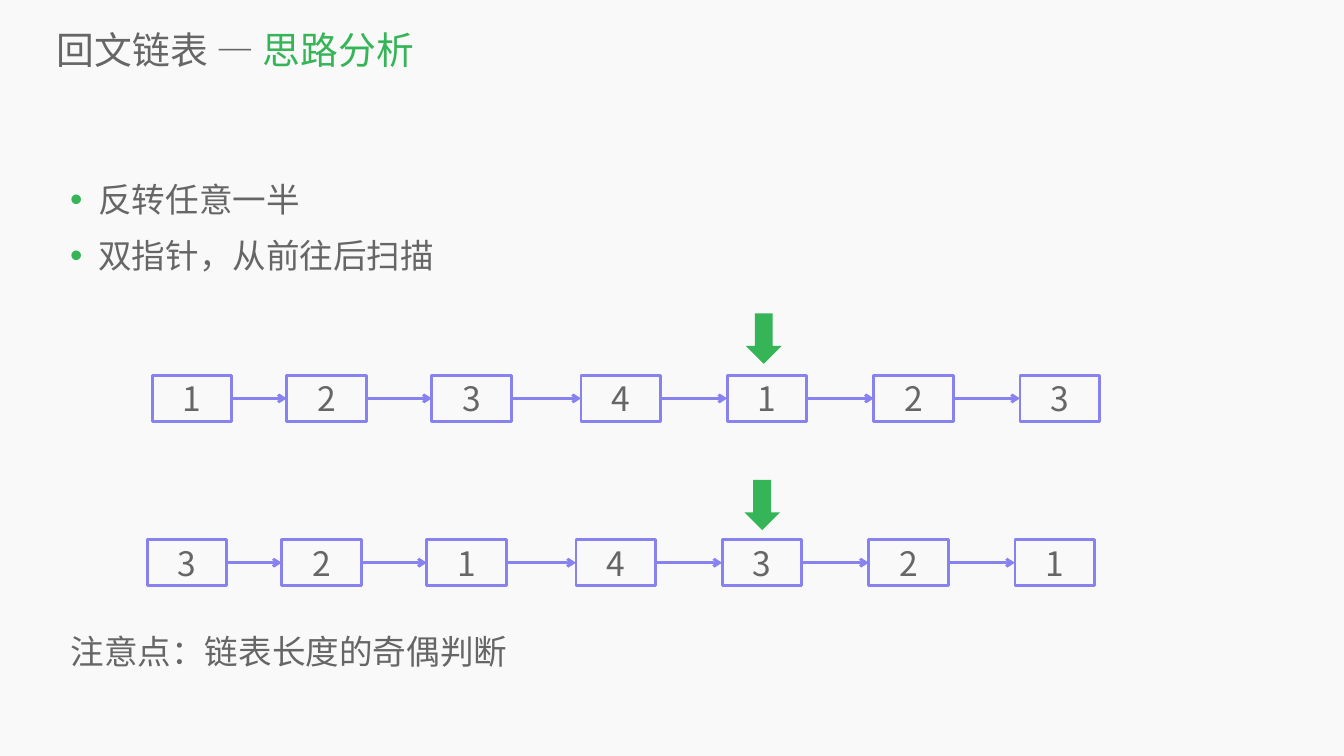
from pptx import Presentation
from pptx.dml.color import RGBColor
from pptx.enum.shapes import MSO_CONNECTOR, MSO_SHAPE
from pptx.enum.text import MSO_ANCHOR, MSO_AUTO_SIZE, PP_ALIGN
from pptx.oxml.ns import qn
from pptx.util import Inches, Pt
from lxml.etree import SubElement

FONT = "Noto Sans CJK SC"
COLORS = {"bg": "F9F9F9", "text": "666666", "green": "35B558", "violet": "8881F0"}
NODE_OFFSETS = [0, 2.67, 5.55, 8.51, 11.41, 14.32, 17.22]
NODE_W, NODE_H = 1.58, 0.91


def color(name):
    return RGBColor.from_string(COLORS[name])


def format_run(r, size, name="text"):
    r.font.size = Pt(size)
    r.font.name = FONT
    r.font.color.rgb = color(name)
    SubElement(r.font._element, qn("a:ea"), typeface=FONT)


def format_frame(tf, anchor):
    tf.margin_left = tf.margin_right = tf.margin_top = tf.margin_bottom = 0
    tf.word_wrap = True
    tf.auto_size = MSO_AUTO_SIZE.NONE
    tf.vertical_anchor = anchor


def add_title(s, parts):
    title = s.shapes.title
    title.left, title.top = Inches(1.13), Inches(0.47)
    title.width, title.height = Inches(25.16), Inches(1.02)
    tf = title.text_frame
    format_frame(tf, MSO_ANCHOR.MIDDLE)
    p = tf.paragraphs[0]
    p.alignment = PP_ALIGN.LEFT
    for text, name in parts:
        r = p.add_run()
        r.text = text
        format_run(r, 54, name)


def add_bullet(p):
    pPr = p._p.get_or_add_pPr()
    pPr.set("marL", str(Inches(0.76)))
    pPr.set("indent", str(Inches(-0.56)))
    SubElement(SubElement(pPr, qn("a:buClr")), qn("a:srgbClr"), val=COLORS["green"])
    SubElement(pPr, qn("a:buSzPct"), val="105000")
    SubElement(pPr, qn("a:buFont"), typeface="Arial")
    SubElement(pPr, qn("a:buChar"), char="•")


def add_text(s, left, top, height, lines, bulleted=False):
    box = s.shapes.add_textbox(Inches(left), Inches(top), Inches(24), Inches(height))
    tf = box.text_frame
    format_frame(tf, MSO_ANCHOR.TOP)
    tf.text = "\n".join(lines)
    for p in tf.paragraphs:
        p.line_spacing = Pt(80.6)
        if bulleted:
            add_bullet(p)
        format_run(p.runs[0], 48)


def add_node(group, left, top, value):
    node = group.shapes.add_shape(MSO_SHAPE.RECTANGLE, Inches(left), Inches(top),
                                  Inches(NODE_W), Inches(NODE_H))
    node.shadow.inherit = False
    node.fill.background()
    node.line.color.rgb = color("violet")
    node.line.width = Pt(4)
    tf = node.text_frame
    format_frame(tf, MSO_ANCHOR.MIDDLE)
    tf.text = value
    tf.paragraphs[0].alignment = PP_ALIGN.CENTER
    format_run(tf.paragraphs[0].runs[0], 48)
    return node


def add_link(group, start, end):
    link = group.shapes.add_connector(MSO_CONNECTOR.STRAIGHT, start.left + start.width,
                                      start.top + start.height // 2,
                                      end.left, end.top + end.height // 2)
    link.begin_connect(start, 3)
    link.end_connect(end, 1)
    link.line.color.rgb = color("violet")
    link.line.width = Pt(4)
    SubElement(link.line._get_or_add_ln(), qn("a:tailEnd"), type="arrow")
    SubElement(link._element.spPr, qn("a:effectLst"))


def add_linked_list(s, left, top, values):
    group = s.shapes.add_group_shape()
    nodes = [add_node(group, left + dx, top, value)
             for dx, value in zip(NODE_OFFSETS, values)]
    for start, end in zip(nodes, nodes[1:]):
        add_link(group, start, end)


def add_pointer(s, left, top):
    arrow = s.shapes.add_shape(MSO_SHAPE.DOWN_ARROW, Inches(left), Inches(top),
                               Inches(0.71), Inches(1))
    arrow.shadow.inherit = False
    arrow.fill.solid()
    arrow.fill.fore_color.rgb = color("green")
    arrow.line.fill.background()


def main():
    prs = Presentation()
    prs.slide_width, prs.slide_height = Inches(26.67), Inches(15)
    s = prs.slides.add_slide(prs.slide_layouts[5])
    s.background.fill.solid()
    s.background.fill.fore_color.rgb = color("bg")

    add_title(s, [("回文链表 — ", "text"), ("思路分析", "green")])
    add_text(s, 1.19, 3.23, 2.24, ["反转任意一半", "双指针，从前往后扫描"], bulleted=True)
    add_linked_list(s, 3.02, 7.45, "1234123")
    add_pointer(s, 14.8, 6.22)
    add_linked_list(s, 2.92, 10.71, "3214321")
    add_pointer(s, 14.77, 9.52)
    add_text(s, 1.4, 12.19, 1.12, ["注意点：链表长度的奇偶判断"])

    prs.save("out.pptx")


if __name__ == "__main__":
    main()
